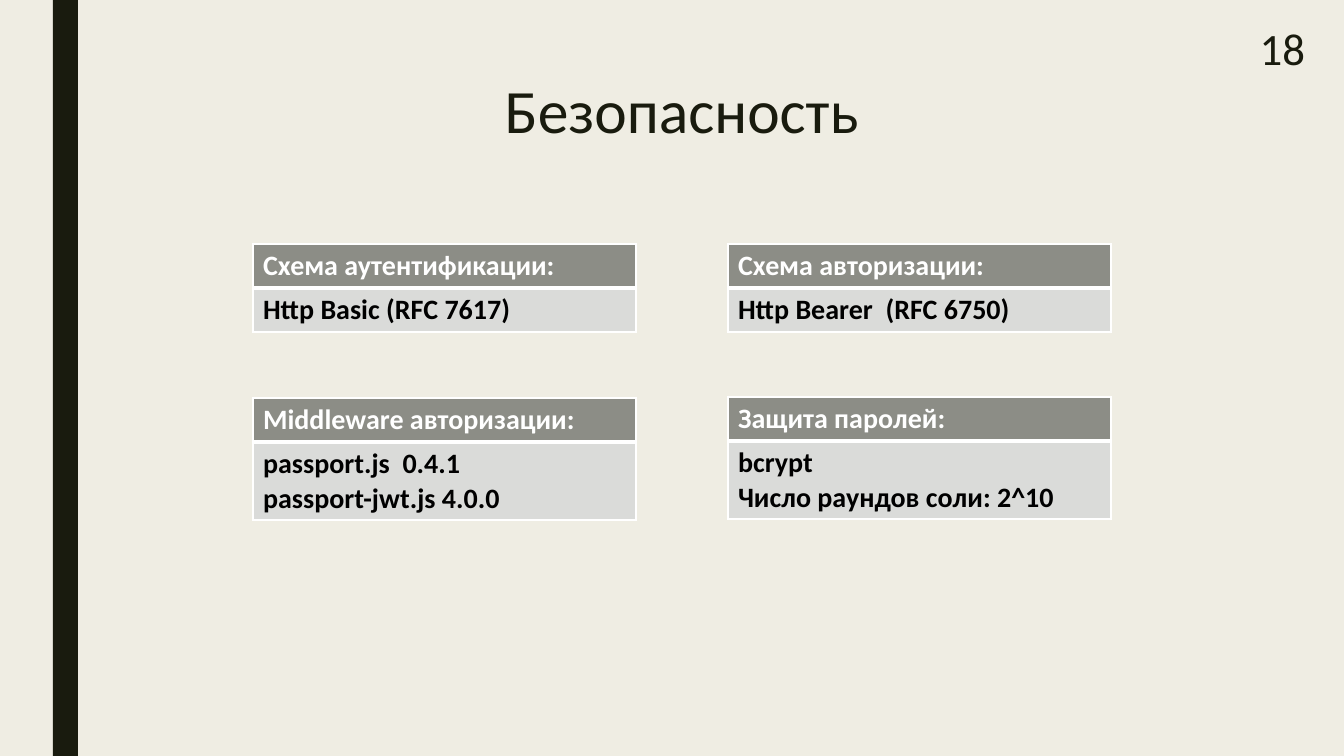
from lxml import etree
from pptx import Presentation
from pptx.dml.color import RGBColor
from pptx.enum.shapes import MSO_SHAPE
from pptx.enum.text import MSO_ANCHOR, PP_ALIGN
from pptx.oxml.ns import qn
from pptx.util import Emu, Pt

RECT = MSO_SHAPE.RECTANGLE
TOP, MIDDLE = MSO_ANCHOR.TOP, MSO_ANCHOR.MIDDLE
LEFT, CENTER, RIGHT = PP_ALIGN.LEFT, PP_ALIGN.CENTER, PP_ALIGN.RIGHT

CREAM = RGBColor(0xEF, 0xED, 0xE3)
DARK = RGBColor(0x19, 0x1B, 0x0E)
GRAY = RGBColor(0x8C, 0x8D, 0x86)
PALE = RGBColor(0xDA, 0xDB, 0xD9)
WHITE = RGBColor(0xFF, 0xFF, 0xFF)
BLACK = RGBColor(0x00, 0x00, 0x00)

FONT = "Calibri"
SCALE = 914400 / 100.8
WIDE, HIGH = 1344, 756


def px(*sizes):
    return [Emu(round(size * SCALE)) for size in sizes]


class Deck:
    def __init__(self):
        self.deck = Presentation()
        self.deck.slide_width, self.deck.slide_height = px(WIDE, HIGH)
        self.slide = self.deck.slides.add_slide(self.deck.slide_layouts[6])
        back = self.slide.background.fill
        back.solid()
        back.fore_color.rgb = CREAM

    def words(self, frame, lines, size, color, bold=False, align=LEFT, space=1.0):
        for i, line in enumerate(lines):
            para = frame.paragraphs[0] if i == 0 else frame.add_paragraph()
            para.alignment = align
            para.line_spacing = space
            run = para.add_run()
            run.text = line
            font = run.font
            font.name, font.size, font.bold = FONT, Pt(size), bold
            font.color.rgb = color

    def bar(self, x, y, w, h, color):
        shape = self.slide.shapes.add_shape(RECT, *px(x, y, w, h))
        shape.shadow.inherit = False
        shape.fill.solid()
        shape.fill.fore_color.rgb = color
        shape.line.fill.background()

    def text(self, x, y, w, h, line, size, align, anchor, space=1.0):
        frame = self.slide.shapes.add_textbox(*px(x, y, w, h)).text_frame
        frame.word_wrap = True
        frame.vertical_anchor = anchor
        self.words(frame, [line], size, DARK, align=align, space=space)

    def edge(self, cell, side, width):
        props = cell._tc.get_or_add_tcPr()
        line = etree.SubElement(props, qn(f"a:ln{side}"), w=str(Pt(width)))
        fill = etree.SubElement(line, qn("a:solidFill"))
        etree.SubElement(fill, qn("a:srgbClr"), val=str(WHITE))

    def cell(self, cell, lines, fill, color, top, bottom):
        for side, width in zip("LRTB", (1, 1, top, bottom)):
            self.edge(cell, side, width)
        cell.fill.solid()
        cell.fill.fore_color.rgb = fill
        self.words(cell.text_frame, lines, 20, color, bold=True)

    def table(self, x, y, w, head, lines):
        rows = 44, 10 + 34 * len(lines)
        frame = self.slide.shapes.add_table(2, 1, *px(x, y, w, sum(rows)))
        table = frame.table
        table.horz_banding = False
        for row, size in zip(table.rows, px(*rows)):
            row.height = size
        self.cell(table.cell(0, 0), [head], GRAY, WHITE, 1, 3)
        self.cell(table.cell(1, 0), lines, PALE, BLACK, 3, 1)

    def save(self):
        self.deck.save("out.pptx")


def main():
    deck = Deck()
    deck.bar(53, 0, 25, HIGH, DARK)
    deck.text(153, 76, 1058, 163, "Безопасность", 44, CENTER, TOP, 0.89)
    deck.text(1139, 26, 176, 44, "18", 32, RIGHT, MIDDLE)

    left, right, width = 253, 728, 383
    cards = [
        (left, 244, "Схема аутентификации:", ["Http Basic (RFC 7617)"]),
        (right, 244, "Схема авторизации:", ["Http Bearer  (RFC 6750)"]),
        (left, 398, "Middleware авторизации:",
         ["passport.js  0.4.1", "passport-jwt.js 4.0.0"]),
        (right, 397, "Защита паролей:",
         ["bcrypt", "Число раундов соли: 2^10"]),
    ]
    for x, y, head, lines in cards:
        deck.table(x, y, width, head, lines)
    deck.save()


if __name__ == "__main__":
    main()
